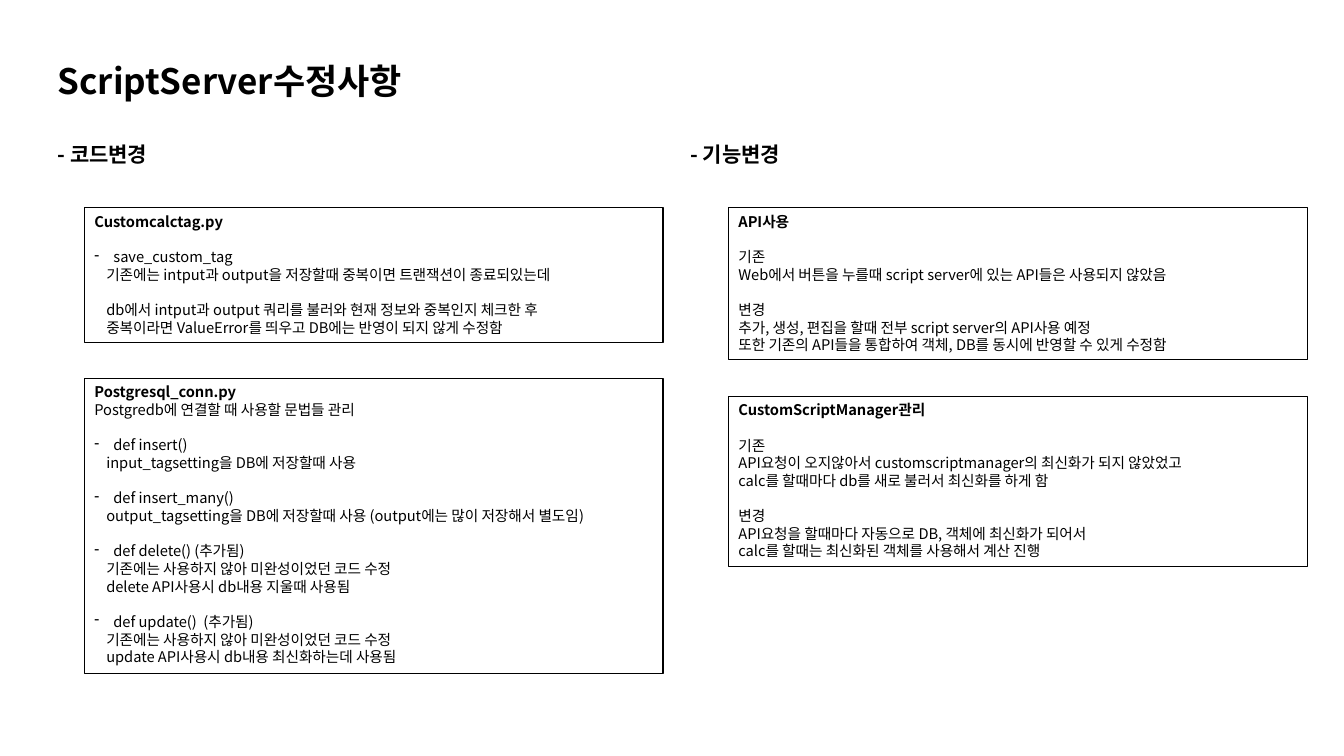
"""Build the slide listing the ScriptServer code and feature changes."""
import pptx
import pptx.util
import pptx.dml.color
import pptx.enum.shapes
import pptx.enum.text
import pptx.oxml
from pptx.util import Cm, Pt

FONT = "Noto Sans CJK KR"
BODY_SIZE = 10.5


def color(hex_string):
    return pptx.dml.color.RGBColor.from_string(hex_string)


def style(paragraph, size, bold):
    paragraph.alignment = pptx.enum.text.PP_ALIGN.LEFT
    paragraph.line_spacing = Pt(size * 1.2)
    paragraph.space_before = Pt(0)
    font = paragraph.font
    font.size, font.bold, font.name = Pt(size), bold, FONT
    font.color.rgb = color("000000")
    east_asian = pptx.oxml.parse_xml(
        '<a:ea xmlns:a="http://schemas.openxmlformats.org/drawingml/2006/main" '
        f'typeface="{FONT}"/>')
    paragraph._p.pPr.find(pptx.oxml.ns.qn("a:defRPr")).append(east_asian)


presentation = pptx.Presentation()
presentation.slide_width, presentation.slide_height = Cm(33.87), Cm(19.05)
slide = presentation.slides.add_slide(presentation.slide_layouts[5])

title = slide.shapes.title
title.left, title.top, title.width, title.height = Cm(1.2), Cm(1.37), Cm(15.55), Cm(1.32)
title.text_frame.text = "ScriptServer수정사항"
title.text_frame.vertical_anchor = pptx.enum.text.MSO_ANCHOR.TOP
style(title.text_frame.paragraphs[0], 25, True)

for left, section in ((1.2, "- 코드변경"), (17.15, "- 기능변경")):
    heading = slide.shapes.add_textbox(Cm(left), Cm(3.43), Cm(15.55), Cm(0.89))
    heading.text_frame.word_wrap = True
    heading.text_frame.text = section
    style(heading.text_frame.paragraphs[0], 15, True)

CODE_LEFT, FEATURE_LEFT = 2.13, 18.36
# Line markers: "" leaves a gap, "- " is a bullet, "> " is an indented line.
changes = [
    (CODE_LEFT, 5.23, 3.4, "Customcalctag.py", [
        "",
        "- save_custom_tag",
        "> 기존에는 intput과 output을 저장할때 중복이면 트랜잭션이 종료되있는데",
        "",
        "> db에서 intput과 output 쿼리를 불러와 현재 정보와 중복인지 체크한 후"
        "\v중복이라면 ValueError를 띄우고 DB에는 반영이 되지 않게 수정함",
    ]),
    (CODE_LEFT, 9.53, 7.44, "Postgresql_conn.py", [
        "Postgredb에 연결할 때 사용할 문법들 관리",
        "",
        "- def insert()",
        "> input_tagsetting을 DB에 저장할때 사용",
        "",
        "- def insert_many()",
        "> output_tagsetting을 DB에 저장할때 사용 (output에는 많이 저장해서 별도임)",
        "",
        "- def delete() (추가됨)",
        "> 기존에는 사용하지 않아 미완성이었던 코드 수정",
        "> delete API사용시 db내용 지울때 사용됨",
        "",
        "- def update()  (추가됨)",
        "> 기존에는 사용하지 않아 미완성이었던 코드 수정",
        "> update API사용시 db내용 최신화하는데 사용됨",
    ]),
    (FEATURE_LEFT, 9.98, 4.29, "CustomScriptManager관리", [
        "",
        "기존",
        "API요청이 오지않아서 customscriptmanager의 최신화가 되지 않았었고",
        "calc를 할때마다 db를 새로 불러서 최신화를 하게 함",
        "",
        "변경",
        "API요청을 할때마다 자동으로 DB, 객체에 최신화가 되어서"
        "\vcalc를 할때는 최신화된 객체를 사용해서 계산 진행",
    ]),
    (FEATURE_LEFT, 5.23, 3.84, "API사용", [
        "",
        "기존",
        "Web에서 버튼을 누를때 script server에 있는 API들은 사용되지 않았음",
        "",
        "변경",
        "추가, 생성, 편집을 할때 전부 script server의 API사용 예정",
        "또한 기존의 API들을 통합하여 객체, DB를 동시에 반영할 수 있게 수정함",
    ]),
]

for left, top, height, subject, lines in changes:
    panel = slide.shapes.add_shape(
        pptx.enum.shapes.MSO_SHAPE.RECTANGLE, Cm(left), Cm(top), Cm(14.58), Cm(height))
    panel.shadow.inherit = False
    panel.fill.background()
    panel.line.color.rgb = color("000000")
    panel.line.width = Pt(0.75)
    details = panel.text_frame
    details.word_wrap = True
    details.vertical_anchor = pptx.enum.text.MSO_ANCHOR.TOP
    details.text = subject
    style(details.paragraphs[0], BODY_SIZE, True)
    gap = 0
    for line in lines:
        if not line:
            gap = BODY_SIZE * 1.2
            continue
        detail = details.add_paragraph()
        detail.text = line.removeprefix("- ").removeprefix("> ")
        style(detail, BODY_SIZE, False)
        detail.space_before = Pt(gap)
        gap = 0
        properties = detail._p.pPr
        if line.startswith("- "):
            properties.set("marL", str(Cm(0.48)))
            properties.set("indent", str(-Cm(0.48)))
            bullet = pptx.oxml.parse_xml(
                '<a:buChar xmlns:a="http://schemas.openxmlformats.org/drawingml/2006/main" char="-"/>')
            properties.find(pptx.oxml.ns.qn("a:defRPr")).addprevious(bullet)
        elif line.startswith("> "):
            properties.set("marL", str(Cm(0.3)))

presentation.save("out.pptx")
